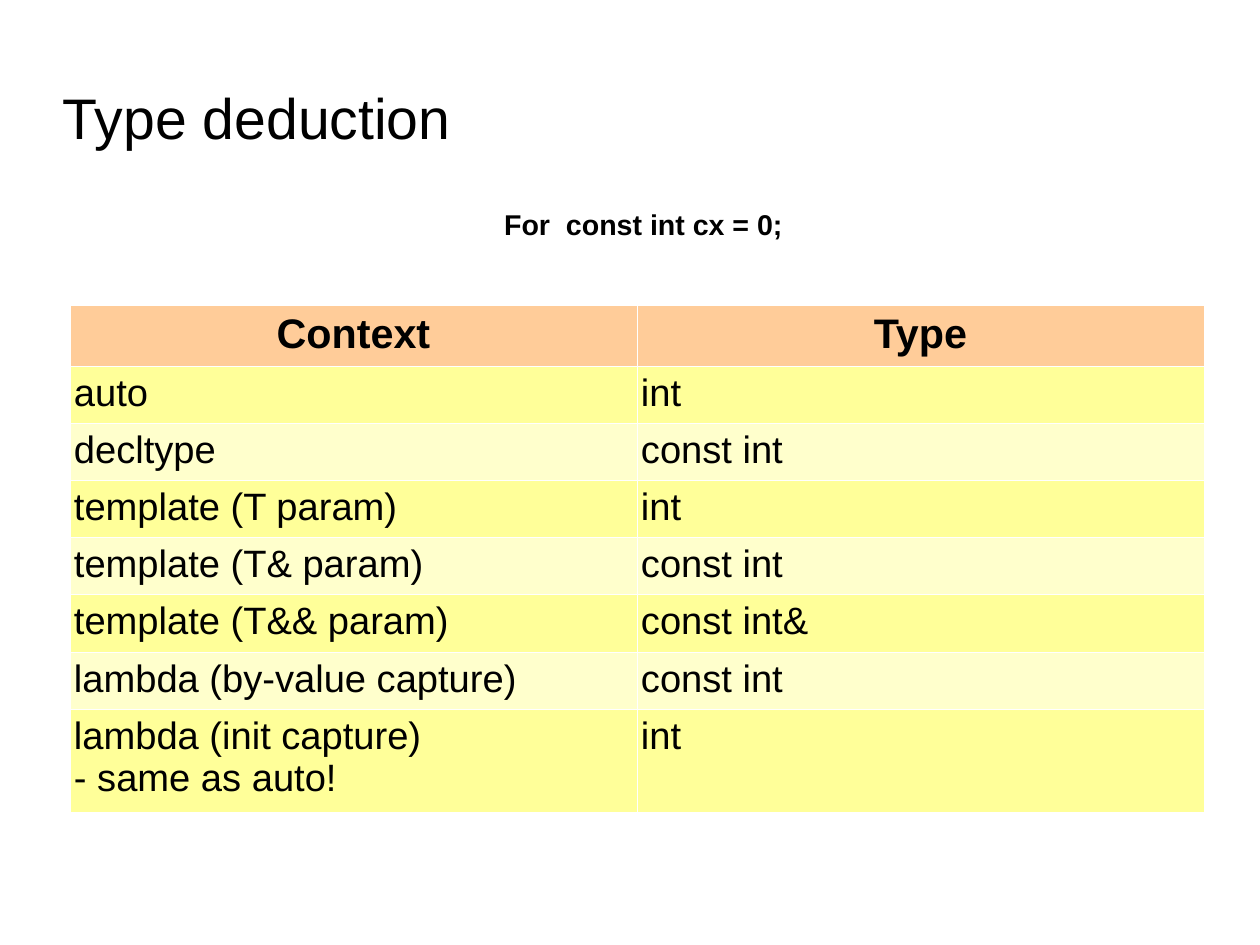
import pptx
import pptx.util
import pptx.dml.color
import pptx.enum.text
import pptx.oxml
import pptx.oxml.ns
import lxml.etree

PX = 8000  # EMU in one px
FONT = "Arial"
HUES = {"text": "000000", "head": "FFCC99", "odd": "FFFF99",
        "even": "FFFFCC", "rule": "FFFFFF"}
ALIGN = pptx.enum.text.PP_ALIGN
ANCHOR = pptx.enum.text.MSO_ANCHOR


def write(frame, text, size, bold=False, align=ALIGN.LEFT):
    para = frame.paragraphs[0]
    para.text = text
    para.alignment = align
    for run in para.runs:
        run.font.name = FONT
        run.font.size = pptx.util.Pt(size)
        run.font.bold = bold
        run.font.color.rgb = pptx.dml.color.RGBColor.from_string(HUES["text"])


def edge(cell):
    props = cell._tc.get_or_add_tcPr()
    for i, side in enumerate(("lnL", "lnR", "lnT", "lnB")):
        line = pptx.oxml.parse_xml(
            f'<a:{side} {pptx.oxml.ns.nsdecls("a")} w="7200"><a:solidFill>'
            f'<a:srgbClr val="{HUES["rule"]}"/></a:solidFill></a:{side}>')
        props.insert(i, line)


deck = pptx.Presentation()
deck.slide_width, deck.slide_height = 1260 * PX, 945 * PX
slide = deck.slides.add_slide(deck.slide_layouts[5])

# Title
title = slide.shapes.title
title.left, title.top, title.width, title.height = (
    n * PX for n in (63, 72, 900, 90))
frame = title.text_frame
frame.margin_left = frame.margin_right = 0
frame.margin_top = frame.margin_bottom = 0
frame.vertical_anchor = ANCHOR.MIDDLE
frame.word_wrap = True
write(frame, "Type deduction", size=36)

# Example line
box = slide.shapes.add_textbox(*(n * PX for n in (374, 201, 539, 43)))
box.text_frame.word_wrap = True
write(box.text_frame, "For  const int cx = 0;", size=18, bold=True,
      align=ALIGN.CENTER)

# Table of contexts and types
rows = [
    ("Context", "Type"),
    ("auto", "int"),
    ("decltype", "const int"),
    ("template (T param)", "int"),
    ("template (T& param)", "const int"),
    ("template (T&& param)", "const int&"),
    ("lambda (by-value capture)", "const int"),
    ("lambda (init capture)\v- same as auto!", "int"),
]
tall = [60] + [57] * 6 + [102]
table = slide.shapes.add_table(
    len(rows), 2, 70 * PX, 305 * PX, 1134 * PX, sum(tall) * PX).table
for col in table.columns:
    col.width = 567 * PX

for r, row in enumerate(rows):
    table.rows[r].height = tall[r] * PX
    head = r == 0
    hue = "head" if head else "odd" if r % 2 else "even"
    for c, text in enumerate(row):
        cell = table.cell(r, c)
        cell.margin_left = cell.margin_right = 4 * PX
        cell.margin_top = cell.margin_bottom = pptx.util.Inches(0.05)
        cell.fill.solid()
        cell.fill.fore_color.rgb = pptx.dml.color.RGBColor.from_string(HUES[hue])
        edge(cell)
        write(cell.text_frame, text, size=26 if head else 24, bold=head,
              align=ALIGN.CENTER if head else ALIGN.LEFT)

deck.save("out.pptx")
